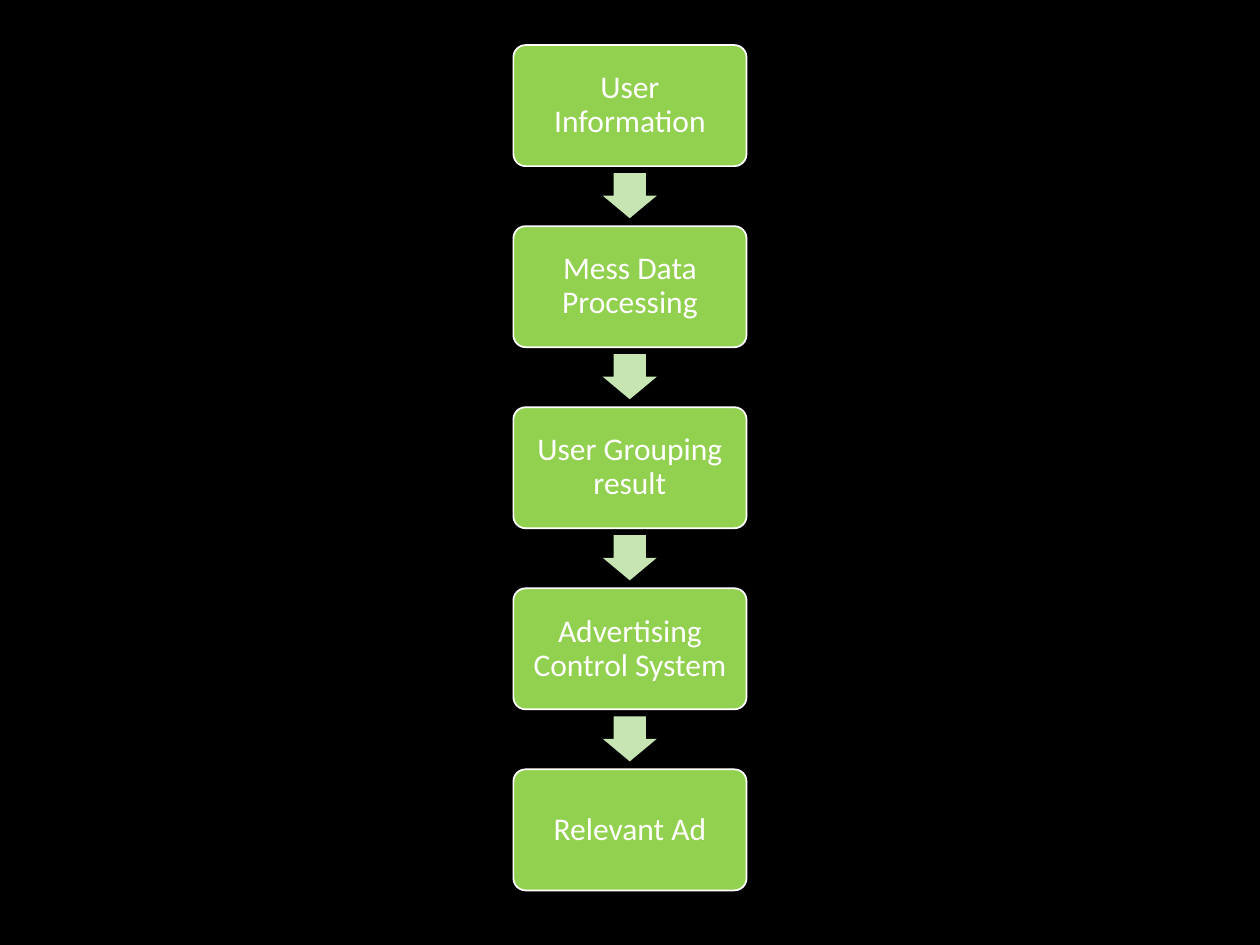
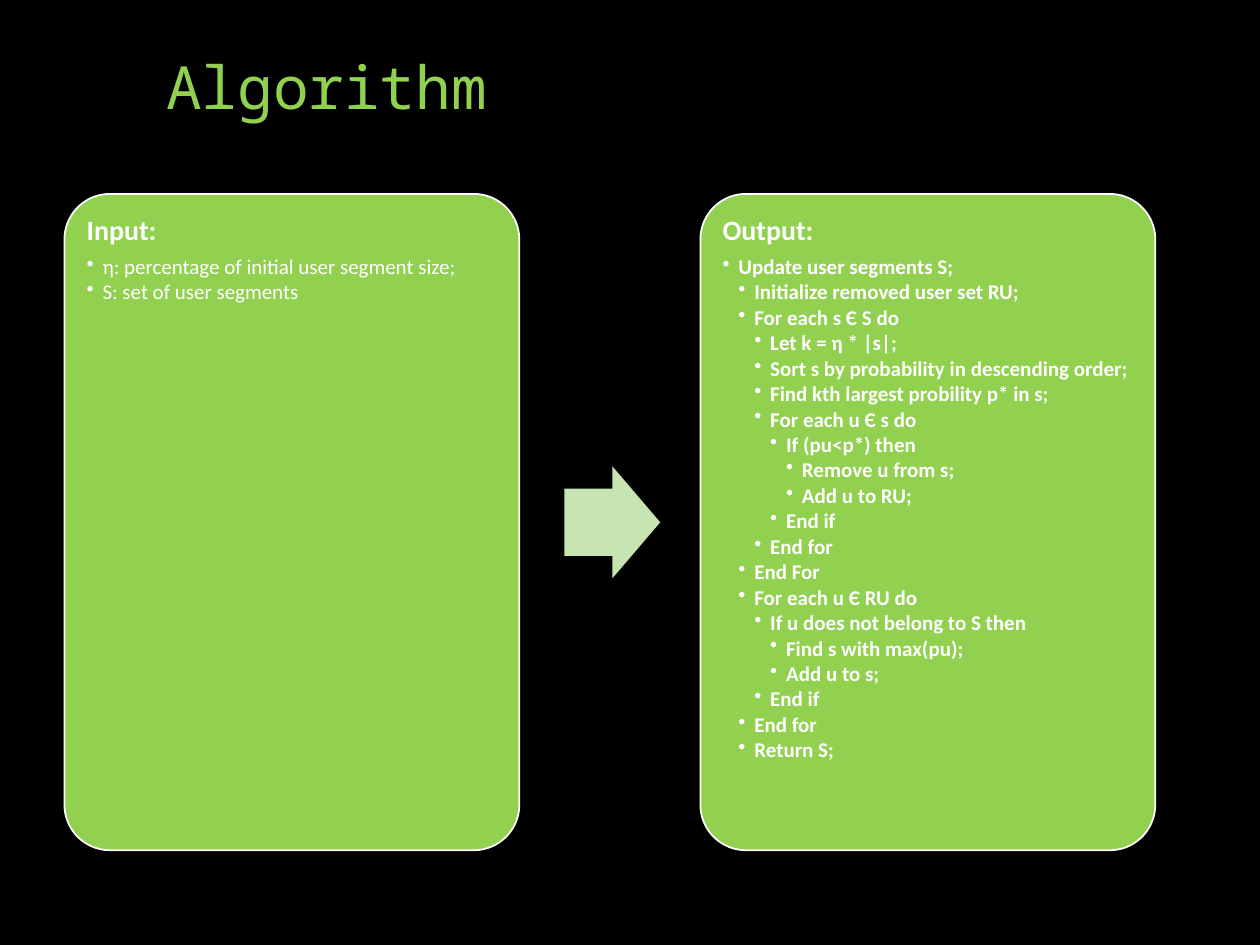
from lxml.etree import SubElement
from pptx import Presentation
from pptx.dml.color import RGBColor
from pptx.enum.shapes import MSO_SHAPE
from pptx.enum.text import MSO_ANCHOR, PP_ALIGN
from pptx.oxml.ns import qn
from pptx.util import Cm, Pt

BLACK = RGBColor(0x00, 0x00, 0x00)
WHITE = RGBColor(0xFF, 0xFF, 0xFF)
GREEN = RGBColor(0x92, 0xD0, 0x50)
PALE = RGBColor(0xC7, 0xE4, 0xB3)
BODY = "Calibri"
MONO = "Noto Sans Mono"

STEPS = [
    "User Information",
    "Mess Data Processing",
    "User Grouping result",
    "Advertising Control System",
    "Relevant Ad",
]
INPUT = [
    (1, "η: percentage of initial user segment size;"),
    (1, "S: set of user segments"),
]
OUTPUT = [
    (1, "Update user segments S;"),
    (2, "Initialize removed user set RU;"),
    (2, "For each s Є S do"),
    (3, "Let k = η * |s|;"),
    (3, "Sort s by probability in descending order;"),
    (3, "Find kth largest probility p* in s;"),
    (3, "For each u Є s do"),
    (4, "If (pu<p*) then"),
    (5, "Remove u from s;"),
    (5, "Add u to RU;"),
    (4, "End if"),
    (3, "End for"),
    (2, "End For"),
    (2, "For each u Є RU do"),
    (3, "If u does not belong to S then"),
    (4, "Find s with max(pu);"),
    (4, "Add u to s;"),
    (3, "End if"),
    (2, "End for"),
    (2, "Return S;"),
]


def assign(item, values):
    for name, value in values.items():
        setattr(item, name, value)


class Deck:
    def __init__(self):
        self.file = Presentation()
        assign(self.file, {"slide_width": Cm(25.4), "slide_height": Cm(19.05)})
        self.slide = None

    def page(self):
        self.slide = self.file.slides.add_slide(self.file.slide_layouts[6])
        fill = self.slide.background.fill
        fill.solid()
        fill.fore_color.rgb = BLACK

    def shape(self, kind, box, color, ratios):
        form = self.slide.shapes.add_shape(kind, *map(Cm, box))
        form.shadow.inherit = False
        form.fill.solid()
        form.fill.fore_color.rgb = color
        form.line.fill.background()
        for index, ratio in enumerate(ratios):
            form.adjustments[index] = ratio
        return form

    def card(self, box, anchor):
        form = self.shape(MSO_SHAPE.ROUNDED_RECTANGLE, box, GREEN, [0.1])
        form.line.color.rgb = WHITE
        form.line.width = Pt(1)
        sides = ("left", "right", "top", "bottom")
        frame = form.text_frame
        assign(frame, {f"margin_{side}": Cm(0.18) for side in sides})
        assign(frame, {"word_wrap": True, "vertical_anchor": anchor})
        return frame

    def arrow(self, box, turn=0):
        form = self.shape(MSO_SHAPE.RIGHT_ARROW, box, PALE, [0.6, 0.5])
        form.rotation = turn

    def label(self, para, text, size, color=WHITE, font=BODY, bold=False,
              align=PP_ALIGN.LEFT, after=0):
        assign(para, {"alignment": align, "line_spacing": 0.9,
                      "space_after": Pt(after)})
        run = para.add_run()
        run.text = text
        assign(run.font, {"name": font, "size": Pt(size), "bold": bold})
        run.font.color.rgb = color

    def bullet(self, para, level, text, bold):
        self.label(para, text, 12, bold=bold, after=1.6)
        para.level = level
        props = para._p.get_or_add_pPr()
        props.set("marL", str(Cm(0.32) * level))
        props.set("indent", str(-Cm(0.32)))
        SubElement(props, qn("a:buChar")).set("char", "•")

    def title(self, text):
        form = self.slide.shapes.add_textbox(*map(Cm, (3.1, 0.53, 19.05, 2.06)))
        frame = form.text_frame
        assign(frame, {"word_wrap": True, "vertical_anchor": MSO_ANCHOR.BOTTOM})
        self.label(frame.paragraphs[0], text, 34, GREEN, MONO)

    def panel(self, left, head, items, bold):
        frame = self.card((left, 3.91, 9.17, 13.23), MSO_ANCHOR.TOP)
        self.label(frame.paragraphs[0], head, 16, bold=True, after=5.6)
        for level, text in items:
            self.bullet(frame.add_paragraph(), level, text, bold)

    def flow(self, steps):
        for index, text in enumerate(steps):
            top = 0.91 + 3.65 * index
            if index:
                self.arrow((12.24, top - 1.16, 0.91, 1.09), 90)
            frame = self.card((10.35, top, 4.7, 2.44), MSO_ANCHOR.MIDDLE)
            self.label(frame.paragraphs[0], text, 18, align=PP_ALIGN.CENTER)


def main():
    deck = Deck()
    deck.page()
    deck.flow(STEPS)
    deck.page()
    deck.title("Algorithm")
    deck.panel(1.3, "Input:", INPUT, False)
    deck.arrow((11.38, 9.4, 1.93, 2.26))
    deck.panel(14.12, "Output:", OUTPUT, True)
    deck.file.save("out.pptx")


if __name__ == "__main__":
    main()
